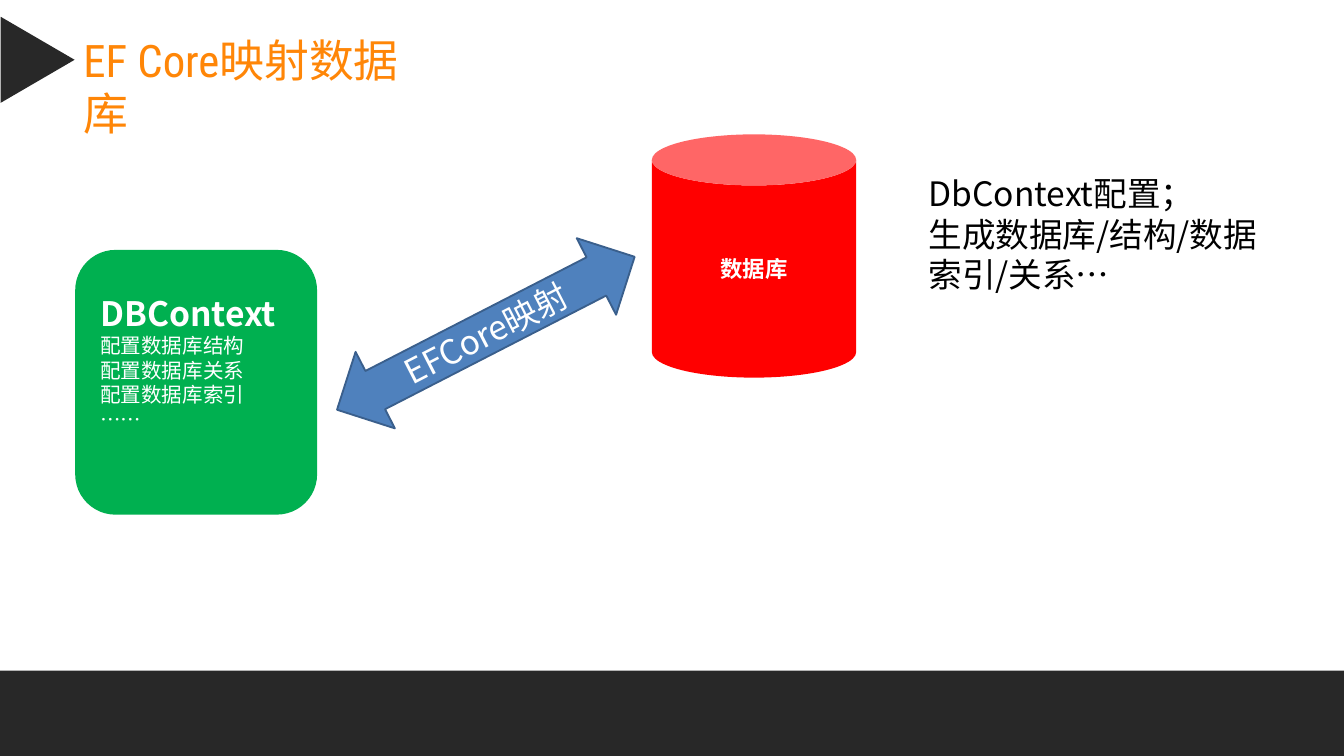
import pptx
import pptx.dml.color
import pptx.enum.shapes
import pptx.enum.text
import pptx.oxml.ns
import pptx.util
from lxml import etree

Inches = pptx.util.Inches
Pt = pptx.util.Pt
SHAPE = pptx.enum.shapes.MSO_SHAPE
ALIGN = pptx.enum.text.PP_ALIGN
ANCHOR = pptx.enum.text.MSO_ANCHOR

COLORS = {
    "dark": "282828",
    "title": "FF8607",
    "database": "FF0000",
    "context": "00B050",
    "arrow": "4F81BD",
    "arrow_line": "3A5F8C",
    "white": "FFFFFF",
    "black": "000000",
}
BODY_FONT = "Noto Sans CJK SC"
TITLE_FONT = "Roboto Condensed"
LINE_HEIGHT = 1.2  # line pitch as a multiple of the text size


def color(name):
    return pptx.dml.color.RGBColor.from_string(COLORS[name])


def place(shape, left, top, width, height):
    bounds = {"left": left, "top": top, "width": width, "height": height}
    for name, value in bounds.items():
        setattr(shape, name, Inches(value))


def write(shape, lines, ink, align=ALIGN.LEFT, font=BODY_FONT, **frame_format):
    """Fill a shape with lines, each given as (text, size, bold)."""
    frame = shape.text_frame
    frame_values = {"word_wrap": True, "vertical_anchor": ANCHOR.MIDDLE}
    for name, value in {**frame_values, **frame_format}.items():
        setattr(frame, name, value)

    for index, (text, size, bold) in enumerate(lines):
        paragraph = frame.add_paragraph() if index else frame.paragraphs[0]
        paragraph.alignment = align
        paragraph.line_spacing = Pt(round(size * LINE_HEIGHT, 1))
        run = paragraph.add_run()
        run.text = text
        font_values = {"size": Pt(size), "bold": bold, "name": font}
        for name, value in font_values.items():
            setattr(run.font, name, value)
        run.font.color.rgb = color(ink)
        # East Asian characters have a typeface of their own
        east_asian = etree.SubElement(
            run.font._element, pptx.oxml.ns.qn("a:ea"))
        east_asian.set("typeface", BODY_FONT)


def add_block(slide, kind, bounds, fill, line=None, rotation=0):
    shape = slide.shapes.add_shape(kind, *map(Inches, bounds))
    shape.shadow.inherit = False
    shape.rotation = rotation
    shape.fill.solid()
    shape.fill.fore_color.rgb = color(fill)
    if line:
        shape.line.color.rgb = color(line)
        shape.line.width = Pt(1)
    else:
        shape.line.fill.background()
    return shape


def add_title(slide, text):
    title = slide.shapes.title
    place(title, 0.52, 0.19, 2.87, 0.5)
    write(title, [(text, 24, False)], "title", font=TITLE_FONT,
          vertical_anchor=ANCHOR.TOP,
          auto_size=pptx.enum.text.MSO_AUTO_SIZE.NONE)


def add_remarks(slide, bounds, lines):
    box = slide.shapes.add_textbox(*map(Inches, bounds))
    write(box, [(text, 18, False) for text in lines], "black",
          vertical_anchor=ANCHOR.TOP)


def main():
    presentation = pptx.Presentation()
    # Widescreen, 16 to 9
    presentation.slide_width = Inches(10)
    presentation.slide_height = Inches(10) * 9 // 16
    slide = presentation.slides.add_slide(presentation.slide_layouts[5])

    # Footer band, title and its marker
    add_block(slide, SHAPE.RECTANGLE, (0, 4.99, 10, 0.64), "dark")
    add_title(slide, "EF Core映射数据库")
    add_block(slide, SHAPE.ISOSCELES_TRIANGLE, (-0.04, 0.17, 0.64, 0.55),
              "dark", rotation=90)

    # Database
    database = add_block(slide, SHAPE.CAN, (4.85, 1, 1.52, 1.81), "database")
    write(database, [("数据库", 12, True)], "white", ALIGN.CENTER)

    # Context with its configuration items, set a little above the middle
    context = add_block(slide, SHAPE.ROUNDED_RECTANGLE,
                        (0.56, 1.86, 1.8, 1.97), "context")
    items = ["配置数据库结构", "配置数据库关系", "配置数据库索引", "……"]
    write(context,
          [("DBContext", 18, True)] + [(item, 11, False) for item in items],
          "white", margin_bottom=Inches(0.35))

    # Remarks
    add_remarks(slide, (6.81, 1.24, 2.76, 1.01),
                ["DbContext配置；", "生成数据库/结构/数据", "索引/关系…"])

    # Mapping between context and database
    mapping = add_block(slide, SHAPE.LEFT_RIGHT_ARROW,
                        (2.37, 2.16, 2.49, 0.64), "arrow",
                        line="arrow_line", rotation=332.8)
    write(mapping, [("EFCore映射", 18, False)], "white", ALIGN.CENTER)

    presentation.save("out.pptx")


if __name__ == "__main__":
    main()
